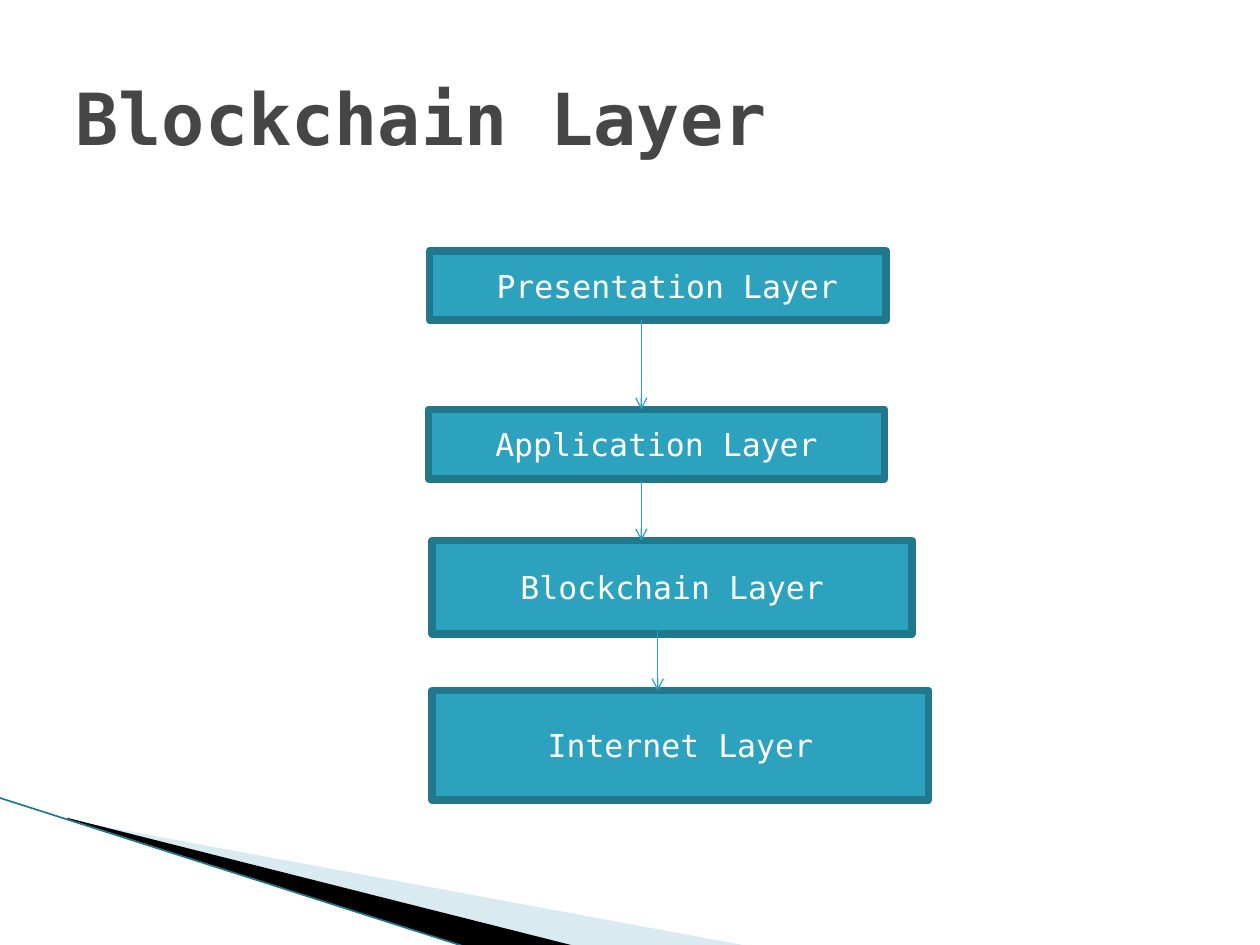
from lxml import etree
from pptx import Presentation
from pptx import util as u
from pptx.dml.color import RGBColor
from pptx.enum import shapes, text
from pptx.oxml.ns import qn

FONT = "DejaVu Sans Mono"
TEAL = RGBColor(0x2D, 0xA2, 0xBF)
DARK_TEAL = RGBColor(0x21, 0x78, 0x8D)
PALE_BLUE = RGBColor(0xD9, 0xEA, 0xF1)
GRAY = RGBColor(0x46, 0x46, 0x46)
BLACK = RGBColor(0, 0, 0)
WHITE = RGBColor(255, 255, 255)

prs = Presentation()
prs.slide_width, prs.slide_height = u.Inches(10), u.Inches(7.5)
COL = prs.slide_width // 100
ROW = prs.slide_height // 75
s = prs.slides.add_slide(prs.slide_layouts[5])


def grid(*cells):
    return [round(n * (ROW if i % 2 else COL)) for i, n in enumerate(cells)]


def add_line(ends, color, width):
    c = s.shapes.add_connector(shapes.MSO_CONNECTOR.STRAIGHT, *grid(*ends))
    c.line.color.rgb = color
    c.line.width = u.Pt(width)
    etree.SubElement(c._element.spPr, qn("a:effectLst"))
    return c


wedges = [
    (PALE_BLUE, [(5.5, 65.1), (59.5, 75.1), (45.6, 75.1), (5.5, 65)]),
    (BLACK, [(5.3, 64.9), (45.7, 75.1), (37.2, 75.2), (5.4, 65)]),
]
for color, points in wedges:
    start, *rest = [grid(*point) for point in points]
    builder = s.shapes.build_freeform(*start)
    builder.add_line_segments(rest)
    sp = builder.convert_to_shape()
    sp.shadow.inherit = False
    sp.fill.solid()
    sp.fill.fore_color.rgb = color
    sp.line.fill.background()
add_line((-0.1, 63.3, 37.1, 75.2), DARK_TEAL, 0.95)

title = s.shapes.title
title.left, title.top, title.width, title.height = grid(5, 3, 90, 12.5)
tf = title.text_frame
tf.text = "Blockchain Layer"
tf.vertical_anchor = text.MSO_ANCHOR.MIDDLE
p = tf.paragraphs[0]
p.alignment = text.PP_ALIGN.LEFT
p.font.name, p.font.size, p.font.bold = FONT, u.Pt(41), True
p.font.color.rgb = GRAY

layers = [
    (" Presentation Layer", 34.1, 19.9, 36.2, 5.5),
    ("Application Layer", 34, 32.5, 36.2, 5.5),
    ("Blockchain Layer", 34.3, 42.9, 38.1, 7.4),
    ("Internet Layer", 34.3, 54.8, 39.4, 8.7),
]
for label, *box in layers:
    sp = s.shapes.add_shape(shapes.MSO_SHAPE.RECTANGLE, *grid(*box))
    sp.shadow.inherit = False
    sp.fill.solid()
    sp.fill.fore_color.rgb = TEAL
    sp.line.color.rgb = DARK_TEAL
    sp.line.width = u.Pt(4.33)
    etree.SubElement(sp.line._get_or_add_ln(), qn("a:round"))
    tf = sp.text_frame
    tf.text = label
    tf.vertical_anchor = text.MSO_ANCHOR.MIDDLE
    p = tf.paragraphs[0]
    p.alignment = text.PP_ALIGN.CENTER
    p.font.name, p.font.size = FONT, u.Pt(18)
    p.font.color.rgb = WHITE

for x, top, bottom in [(50.9, 25.4, 32.5), (50.9, 38.2, 42.9), (52.2, 50.1, 54.8)]:
    arrow = add_line((x, top, x, bottom), TEAL, 0.75)
    etree.SubElement(arrow.line._get_or_add_ln(), qn("a:tailEnd"), type="arrow")

prs.save("out.pptx")
